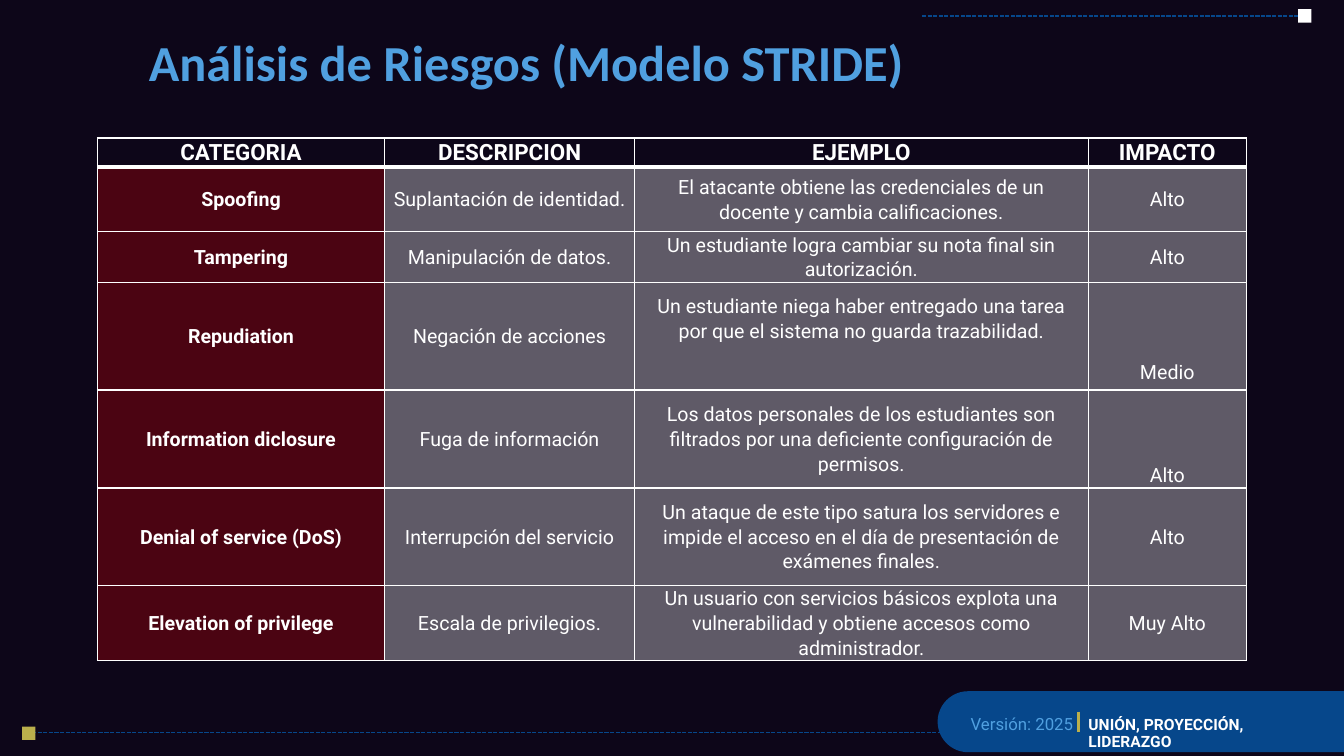
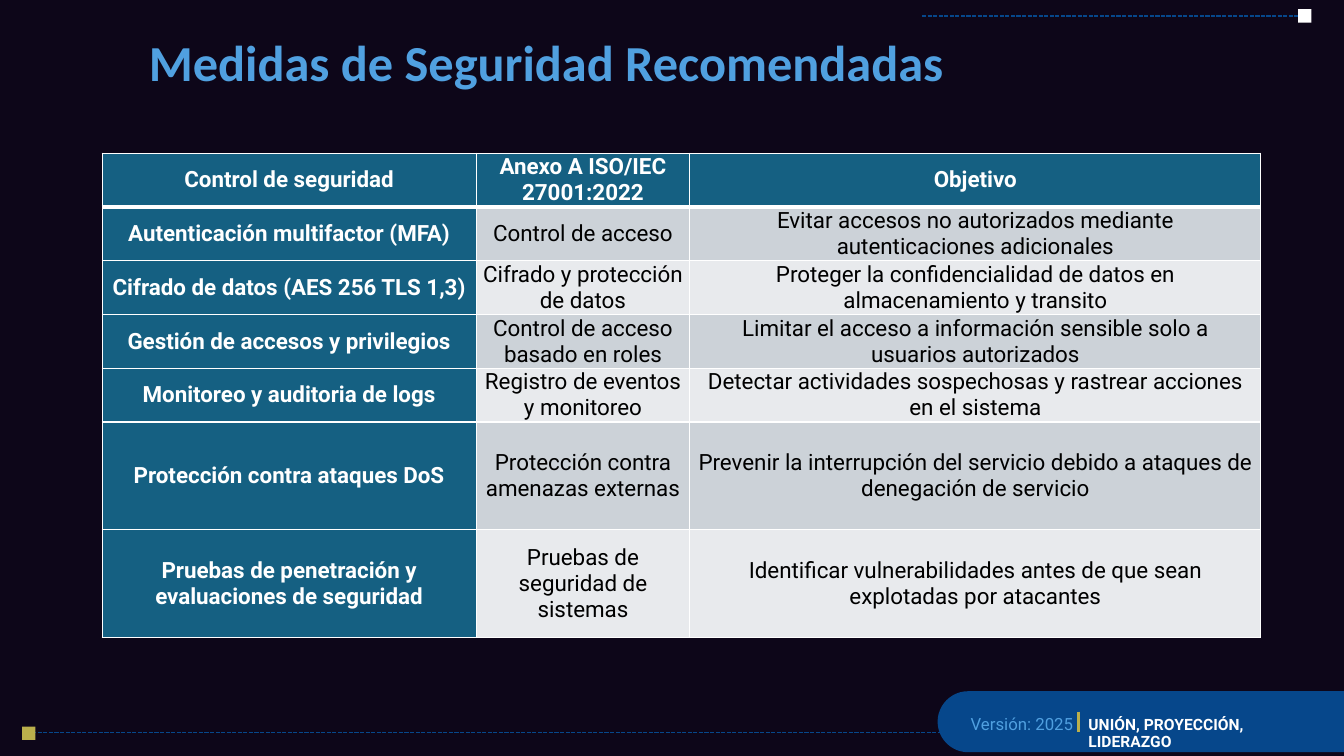
from lxml.etree import SubElement
from pptx import Presentation
from pptx.dml.color import RGBColor
from pptx.enum.dml import MSO_LINE
from pptx.enum.shapes import MSO_CONNECTOR, MSO_SHAPE
from pptx.enum.text import MSO_ANCHOR, PP_ALIGN
from pptx.oxml.ns import qn
from pptx.util import Pt

SLIDE_WIDTH, SLIDE_HEIGHT = 960, 540

NIGHT = RGBColor(0x0D, 0x06, 0x19)
NAVY = RGBColor(0x06, 0x47, 0x8B)
SKY = RGBColor(0x50, 0xA0, 0xE0)
GOLD = RGBColor(0xBA, 0xAF, 0x4C)
WHITE = RGBColor(0xFF, 0xFF, 0xFF)
BLACK = RGBColor(0x00, 0x00, 0x00)
RED = RGBColor(0xFF, 0x00, 0x00)
TEAL = RGBColor(0x15, 0x60, 0x82)
GREY = RGBColor(0xCC, 0xD2, 0xD8)
PALE_GREY = RGBColor(0xE8, 0xEA, 0xED)

TITLE = {"name": "Calibri", "size": Pt(36), "bold": True, "color": SKY}
VERSION = {"name": "Roboto", "size": Pt(12), "bold": False, "color": SKY}
MOTTO = {"name": "Roboto", "size": Pt(11.1), "bold": True, "color": WHITE}
HEADING = {"name": "Roboto", "size": Pt(16), "bold": True, "color": WHITE}
RISK_NAME = {**HEADING, "size": Pt(14)}
RISK_TEXT = {**RISK_NAME, "bold": False}
CONTROL_TEXT = {**HEADING, "bold": False, "color": BLACK}

RISKS = [
    ["CATEGORIA", "DESCRIPCION", "EJEMPLO", "IMPACTO"],
    ["Spoofing", "Suplantación de identidad.",
     "El atacante obtiene las credenciales de un docente y cambia calificaciones.", "Alto"],
    ["Tampering", "Manipulación de datos.",
     "Un estudiante logra cambiar su nota final sin autorización.", "Alto"],
    ["Repudiation", "Negación de acciones",
     "Un estudiante niega haber entregado una tarea por que el sistema no guarda "
     "trazabilidad.", "Medio"],
    ["Information diclosure", "Fuga de información",
     "Los datos personales de los estudiantes son filtrados por una deficiente "
     "configuración de permisos.", "Alto"],
    ["Denial of service (DoS)", "Interrupción del servicio",
     "Un ataque de este tipo satura los servidores e impide el acceso en el día de "
     "presentación de exámenes finales.", "Alto"],
    ["Elevation of privilege", "Escala de privilegios.",
     "Un usuario con servicios básicos explota una vulnerabilidad y obtiene accesos "
     "como administrador.", "Muy Alto"],
]

CONTROLS = [
    ["Control de seguridad", "Anexo A ISO/IEC 27001:2022", "Objetivo"],
    ["Autenticación multifactor (MFA)", "Control de acceso",
     "Evitar accesos no autorizados mediante autenticaciones adicionales"],
    ["Cifrado de datos (AES 256 TLS 1,3)", "Cifrado y protección de datos",
     "Proteger la confidencialidad de datos en almacenamiento y transito"],
    ["Gestión de accesos y privilegios", "Control de acceso basado en roles",
     "Limitar el acceso a información sensible solo a usuarios autorizados"],
    ["Monitoreo y auditoria de logs", "Registro de eventos y monitoreo",
     "Detectar actividades sospechosas y rastrear acciones en el sistema"],
    ["Protección contra ataques DoS", "Protección contra amenazas externas",
     "Prevenir la interrupción del servicio debido a ataques de denegación de servicio"],
    ["Pruebas de penetración y evaluaciones de seguridad",
     "Pruebas de seguridad de sistemas",
     "Identificar vulnerabilidades antes de que sean explotadas por atacantes"],
]


def write(text_frame, text, style, line_spacing, alignment=PP_ALIGN.LEFT):
    paragraph = text_frame.paragraphs[0]
    paragraph.alignment = alignment
    paragraph.line_spacing = line_spacing
    run = paragraph.add_run()
    run.text = text
    for name, value in style.items():
        if name == "color":
            run.font.color.rgb = value
        else:
            setattr(run.font, name, value)


def add_text(slide, text, style, left, top, width, height, anchor=MSO_ANCHOR.TOP):
    text_frame = slide.shapes.add_textbox(Pt(left), Pt(top), Pt(width), Pt(height)).text_frame
    text_frame.word_wrap = True
    text_frame.vertical_anchor = anchor
    write(text_frame, text, style, 0.9)


def add_block(slide, preset, color, left, top, width, height):
    shape = slide.shapes.add_shape(preset, Pt(left), Pt(top), Pt(width), Pt(height))
    shape.shadow.inherit = False
    shape.fill.solid()
    shape.fill.fore_color.rgb = color
    shape.line.fill.background()
    return shape


def add_line(slide, color, weight, start, end, dash=None):
    line = slide.shapes.add_connector(MSO_CONNECTOR.STRAIGHT, *map(Pt, start + end))
    line.line.color.rgb = color
    line.line.width = Pt(weight)
    line.line.dash_style = dash
    SubElement(line._element.spPr, qn("a:effectLst"))


def add_pill(slide, left, top, width, height):
    """Band with a round left end: a round-topped shape turned on its side."""
    pill = add_block(slide, MSO_SHAPE.ROUND_2_SAME_RECTANGLE, NAVY,
                     left + (width - height) / 2, top + (height - width) / 2, height, width)
    pill.adjustments[0] = 0.5
    pill.rotation = 270


def add_titled_slide(presentation, title):
    slide = presentation.slides.add_slide(presentation.slide_layouts[6])
    add_line(slide, NAVY, 1, (23, 523.3), (690, 523.3), MSO_LINE.SQUARE_DOT)
    add_block(slide, MSO_SHAPE.RECTANGLE, GOLD, 15.8, 519, 9.5, 9.5)
    add_pill(slide, 669.7, 493.7, SLIDE_WIDTH - 669.7, 43.6)
    add_text(slide, "Versión: 2025", VERSION, 686.3, 507.6, 141, 24)
    add_text(slide, "UNIÓN, PROYECCIÓN, LIDERAZGO", MOTTO, 770.4, 509, 182, 24)
    add_line(slide, GOLD, 1.5, (770.4, 508.3), (770.4, 522.7))
    add_line(slide, NAVY, 1, (658.6, 11.4), (932, 11.4), MSO_LINE.SQUARE_DOT)
    add_block(slide, MSO_SHAPE.RECTANGLE, WHITE, 927.2, 6.6, 9.5, 9.5)
    add_text(slide, title, TITLE, 99.2, 0, 826.6, 69.8, MSO_ANCHOR.BOTTOM)
    return slide


def set_borders(cell, row_index):
    """White grid, with a heavy rule below the heading row."""
    widths = {"L": 1, "R": 1, "T": 3 if row_index == 1 else 1, "B": 3 if row_index == 0 else 1}
    properties = cell._tc.get_or_add_tcPr()
    for side, width in widths.items():
        border = SubElement(properties, qn(f"a:ln{side}"), w=str(Pt(width)))
        fill = SubElement(border, qn("a:solidFill"))
        SubElement(fill, qn("a:srgbClr"), val=str(WHITE))


def set_fill(cell, color, opacity=100):
    if color is None:
        cell.fill.background()
        return
    cell.fill.solid()
    cell.fill.fore_color.rgb = color
    if opacity < 100:
        color_element = cell._tc.tcPr.find(qn("a:solidFill")).find(qn("a:srgbClr"))
        SubElement(color_element, qn("a:alpha"), val=str(opacity * 1000))


def add_grid(slide, rows, left, top, widths, heights, inset, line_spacing, cell_look):
    """Table whose cell_look(row, column) gives text style and fill arguments."""
    table = slide.shapes.add_table(len(rows), len(widths), Pt(left), Pt(top),
                                   Pt(sum(widths)), Pt(sum(heights))).table
    table.first_row = table.horz_banding = False
    for column, width in zip(table.columns, widths):
        column.width = Pt(width)
    for row, height in zip(table.rows, heights):
        row.height = Pt(height)
    margins = {"margin_left": Pt(inset), "margin_right": Pt(inset),
               "margin_top": 0, "margin_bottom": 0, "vertical_anchor": MSO_ANCHOR.MIDDLE}
    for row_index, texts in enumerate(rows):
        for column_index, text in enumerate(texts):
            cell = table.cell(row_index, column_index)
            style, fill = cell_look(row_index, column_index)
            for name, value in margins.items():
                setattr(cell, name, value)
            set_borders(cell, row_index)
            set_fill(cell, *fill)
            write(cell.text_frame, text, style, line_spacing, PP_ALIGN.CENTER)
    return table


def risk_look(row, column):
    if row == 0:
        return HEADING, (None,)
    if column == 0:
        return RISK_NAME, (RED, 26)
    return RISK_TEXT, (WHITE, 34)


def control_look(row, column):
    if row == 0 or column == 0:
        return HEADING, (TEAL,)
    return CONTROL_TEXT, (GREY if row % 2 else PALE_GREY,)


def add_risk_slide(presentation):
    slide = add_titled_slide(presentation, "Análisis de Riesgos (Modelo STRIDE)")
    table = add_grid(slide, RISKS, 69.6, 98.6, [205.2, 178.5, 324, 113],
                     [20, 46.5, 35.5, 77, 70, 69.5, 53], 4.2, 1.07, risk_look)
    table.cell(3, 2).margin_bottom = Pt(25.5)
    for row_index in (3, 4):
        table.cell(row_index, 3).margin_top = Pt(51)


def add_control_slide(presentation):
    slide = add_titled_slide(presentation, "Medidas de Seguridad Recomendadas")
    add_grid(slide, CONTROLS, 73, 109.4, [267.1, 152.7, 407.9],
             [37] * 5 + [77] * 2, 5, 1.0, control_look)


def main():
    presentation = Presentation()
    presentation.slide_width = Pt(SLIDE_WIDTH)
    presentation.slide_height = Pt(SLIDE_HEIGHT)
    background = presentation.slide_master.background.fill
    background.solid()
    background.fore_color.rgb = NIGHT
    add_risk_slide(presentation)
    add_control_slide(presentation)
    presentation.save("out.pptx")


if __name__ == "__main__":
    main()
